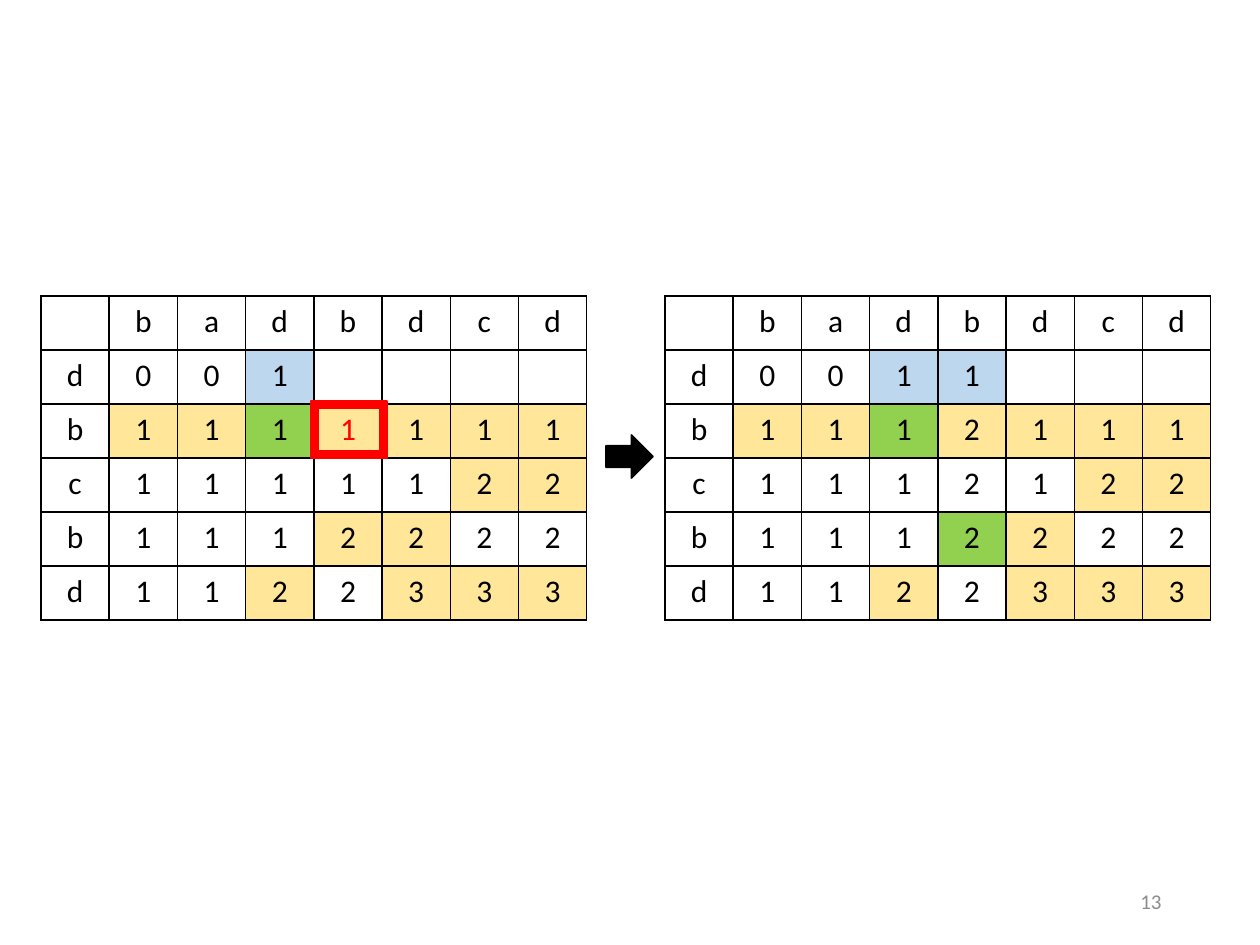
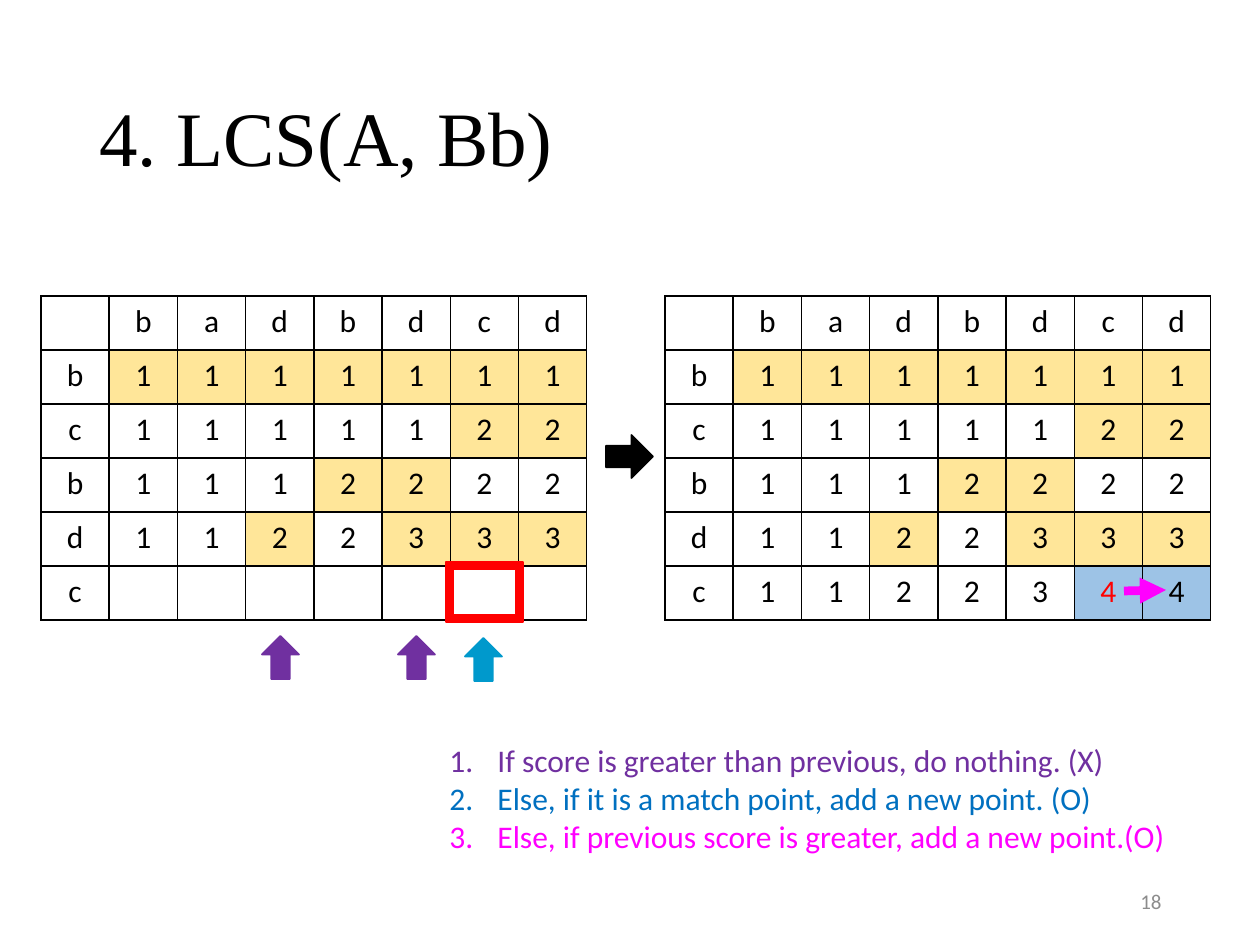
from dataclasses import dataclass
from typing import NamedTuple

import lxml.etree
import pptx
import pptx.dml.color
import pptx.enum.shapes
import pptx.enum.text
import pptx.oxml
import pptx.oxml.ns
import pptx.util

EMU_PER_PX = 914400 / 126
BODY_FONT = "Calibri"
TITLE_FONT = "Times New Roman"
COLORS = {
    "ink": "000000",
    "paper": "FFFFFF",
    "page_number": "8C8C8C",
    "focus": "FF0000",
    "contour": "FFE699",
    "overlap": "92D050",
    "new_row": "BDD7EE",
    "new_point": "9DC3E6",
    "greater": "7030A0",
    "match_rule": "0070C0",
    "match_arrow": "0099CC",
    "carry": "FF00FF",
}
TINTS = {".": "paper", "y": "contour", "g": "overlap", "l": "new_row", "n": "new_point"}
SHAPES = pptx.enum.shapes.MSO_SHAPE
ALIGN = pptx.enum.text.PP_ALIGN
ANCHOR = pptx.enum.text.MSO_ANCHOR


class Box(NamedTuple):
    left: int
    top: int
    width: int
    height: int


class ScoreRow(NamedTuple):
    """One character per cell: what it shows, and a key of TINTS."""

    values: str
    tints: str = "........"


class Rule(NamedTuple):
    text: str
    color: str


@dataclass
class Marker:
    shape: pptx.enum.shapes.MSO_SHAPE
    box: Box
    color: str


@dataclass
class ScoreGrid:
    left: int
    rows: list[ScoreRow]
    focus_cell: tuple[int, int] | None = None


GRID_TOP, GRID_WIDTH, GRID_HEIGHT = 296, 546, 324
BEFORE_LEFT, AFTER_LEFT = 41, 665
TITLE_BOX = Box(87, 50, 1086, 183)
PAGE_NUMBER_BOX = Box(890, 876, 284, 50)
RULES_BOX = Box(437, 735, 748, 127)
RULE_INDENT = 48
STEP_ARROW = Marker(SHAPES.RIGHT_ARROW, Box(606, 435, 47, 43), "ink")

HEADER = ScoreRow(" badbdcd")
ROW_B1 = ScoreRow("b1111111", ".yyyyyyy")
ROW_C = ScoreRow("c1111122", "......yy")
ROW_B2 = ScoreRow("b1112222", "....yy..")
ROW_D = ScoreRow("d1122333", "...y.yyy")

PREPEND_BEFORE = ScoreGrid(
    BEFORE_LEFT,
    [HEADER, ScoreRow("d001    ", "...l...."), ScoreRow("b1111111", ".yygyyyy"), ROW_C, ROW_B2, ROW_D],
    focus_cell=(2, 4),
)
PREPEND_AFTER = ScoreGrid(
    AFTER_LEFT,
    [
        HEADER,
        ScoreRow("d0011   ", "...ll..."),
        ScoreRow("b1112111", ".yygyyyy"),
        ScoreRow("c1112122", "......yy"),
        ScoreRow("b1112222", "....gy.."),
        ROW_D,
    ],
)
APPEND_BEFORE = ScoreGrid(BEFORE_LEFT, [HEADER, ROW_B1, ROW_C, ROW_B2, ROW_D, ScoreRow("c       ")])
APPEND_AFTER = ScoreGrid(
    AFTER_LEFT,
    [HEADER, ROW_B1, ROW_C, ROW_B2, ROW_D, ScoreRow("c1122344", "......nn")],
    focus_cell=(5, 6),
)
PREPEND_MARKERS = [STEP_ARROW, Marker(SHAPES.FRAME, Box(311, 401, 76, 57), "focus")]
APPEND_MARKERS = [
    STEP_ARROW,
    Marker(SHAPES.UP_ARROW, Box(262, 636, 37, 43), "greater"),
    Marker(SHAPES.UP_ARROW, Box(398, 636, 37, 43), "greater"),
    Marker(SHAPES.FRAME, Box(446, 562, 77, 60), "focus"),
    Marker(SHAPES.UP_ARROW, Box(465, 638, 37, 43), "match_arrow"),
]
RULES = [
    Rule("If score is greater than previous, do nothing. (X)", "greater"),
    Rule("Else, if it is a match point, add a new point. (O)", "match_rule"),
    Rule("Else, if previous score is greater, add a new point.(O)", "carry"),
]


def px(length: float) -> pptx.util.Emu:
    return pptx.util.Emu(round(length * EMU_PER_PX))


def place(box: Box) -> tuple[pptx.util.Emu, ...]:
    return tuple(px(length) for length in box)


def rgb(color: str) -> pptx.dml.color.RGBColor:
    return pptx.dml.color.RGBColor.from_string(COLORS[color])


def add_child(parent, tag: str, **attributes: str):
    child = lxml.etree.SubElement(parent, pptx.oxml.ns.qn(tag))
    for name, value in attributes.items():
        child.set(name, value)
    return child


def style(paragraph, size: int, color: str = "ink", font: str = BODY_FONT) -> None:
    paragraph.font.name = font
    paragraph.font.size = pptx.util.Pt(size)
    paragraph.font.color.rgb = rgb(color)


def add_text_frame(slide, box: Box, anchor=ANCHOR.TOP):
    frame = slide.shapes.add_textbox(*place(box)).text_frame
    frame.word_wrap = True
    frame.vertical_anchor = anchor
    return frame


def add_title(slide, text: str) -> None:
    paragraph = add_text_frame(slide, TITLE_BOX, ANCHOR.MIDDLE).paragraphs[0]
    paragraph.text = text
    paragraph.line_spacing = 0.9
    style(paragraph, 44, font=TITLE_FONT)


def add_page_number(slide, number: int) -> None:
    paragraph = add_text_frame(slide, PAGE_NUMBER_BOX, ANCHOR.MIDDLE).paragraphs[0]
    paragraph.text = str(number)
    paragraph.alignment = ALIGN.RIGHT
    style(paragraph, 12, "page_number")


def add_cell_borders(cell) -> None:
    """Rule all four sides; must run before the cell gets its fill."""
    properties = cell._tc.get_or_add_tcPr()
    for side in ("a:lnL", "a:lnR", "a:lnT", "a:lnB"):
        line = add_child(properties, side, w=str(pptx.util.Pt(1)))
        add_child(add_child(line, "a:solidFill"), "a:srgbClr", val=COLORS["ink"])


def add_score_grid(slide, grid: ScoreGrid) -> None:
    box = Box(grid.left, GRID_TOP, GRID_WIDTH, GRID_HEIGHT)
    table = slide.shapes.add_table(len(grid.rows), len(HEADER.values), *place(box)).table
    table.first_row = table.horz_banding = False
    for row_index, row in enumerate(grid.rows):
        for column, (value, tint) in enumerate(zip(row.values, row.tints)):
            cell = table.cell(row_index, column)
            add_cell_borders(cell)
            cell.fill.solid()
            cell.fill.fore_color.rgb = rgb(TINTS[tint])
            paragraph = cell.text_frame.paragraphs[0]
            paragraph.text = value.strip()
            paragraph.alignment = ALIGN.CENTER
            style(paragraph, 18, "focus" if (row_index, column) == grid.focus_cell else "ink")


def add_marker(slide, marker: Marker) -> None:
    shape = slide.shapes.add_shape(marker.shape, *place(marker.box))
    shape.shadow.inherit = False
    shape.fill.solid()
    shape.fill.fore_color.rgb = rgb(marker.color)
    shape.line.color.rgb = rgb(marker.color)
    shape.line.width = pptx.util.Pt(1)


def add_rules(slide) -> None:
    frame = add_text_frame(slide, RULES_BOX)
    for index, rule in enumerate(RULES):
        paragraph = frame.add_paragraph() if index else frame.paragraphs[0]
        paragraph.text = rule.text
        properties = paragraph._p.get_or_add_pPr()
        properties.set("marL", str(px(RULE_INDENT)))
        properties.set("indent", str(-px(RULE_INDENT)))
        add_child(add_child(properties, "a:buClr"), "a:srgbClr", val=COLORS[rule.color])
        add_child(properties, "a:buAutoNum", type="arabicPeriod")
        style(paragraph, 18, rule.color)


def add_carry_arrow(slide) -> None:
    """Show the new score passing to the next cell."""
    ends = [px(length) for length in (1124, 591, 1166, 590)]
    arrow = slide.shapes.add_connector(pptx.enum.shapes.MSO_CONNECTOR.STRAIGHT, *ends)
    arrow.line.color.rgb = rgb("carry")
    arrow.line.width = pptx.util.Pt(5)
    add_child(arrow.line._get_or_add_ln(), "a:tailEnd", type="triangle")
    add_child(arrow._element.spPr, "a:effectLst")


def add_step_slide(deck, page: int, grids: list[ScoreGrid], markers: list[Marker]):
    """Add a slide that compares the score grid before and after one step."""
    slide = deck.slides.add_slide(deck.slide_layouts[6])
    add_page_number(slide, page)
    for grid in grids:
        add_score_grid(slide, grid)
    for marker in markers:
        add_marker(slide, marker)
    return slide


def main() -> None:
    deck = pptx.Presentation()
    deck.slide_width, deck.slide_height = px(1260), px(945)
    add_step_slide(deck, 13, [PREPEND_BEFORE, PREPEND_AFTER], PREPEND_MARKERS)
    append_slide = add_step_slide(deck, 18, [APPEND_BEFORE, APPEND_AFTER], APPEND_MARKERS)
    add_title(append_slide, "4. LCS(A, Bb)")
    add_rules(append_slide)
    add_carry_arrow(append_slide)
    deck.save("out.pptx")


if __name__ == "__main__":
    main()
